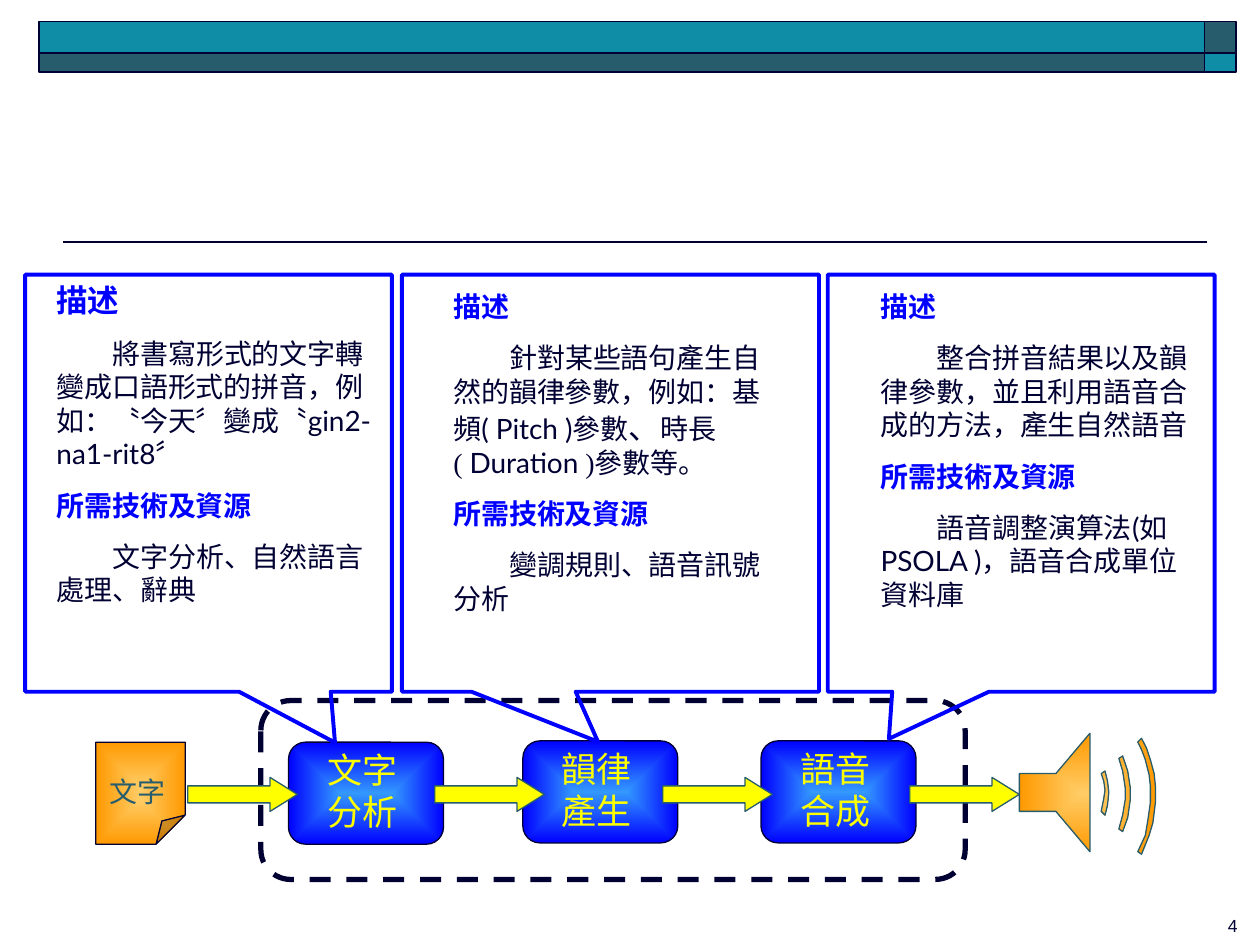
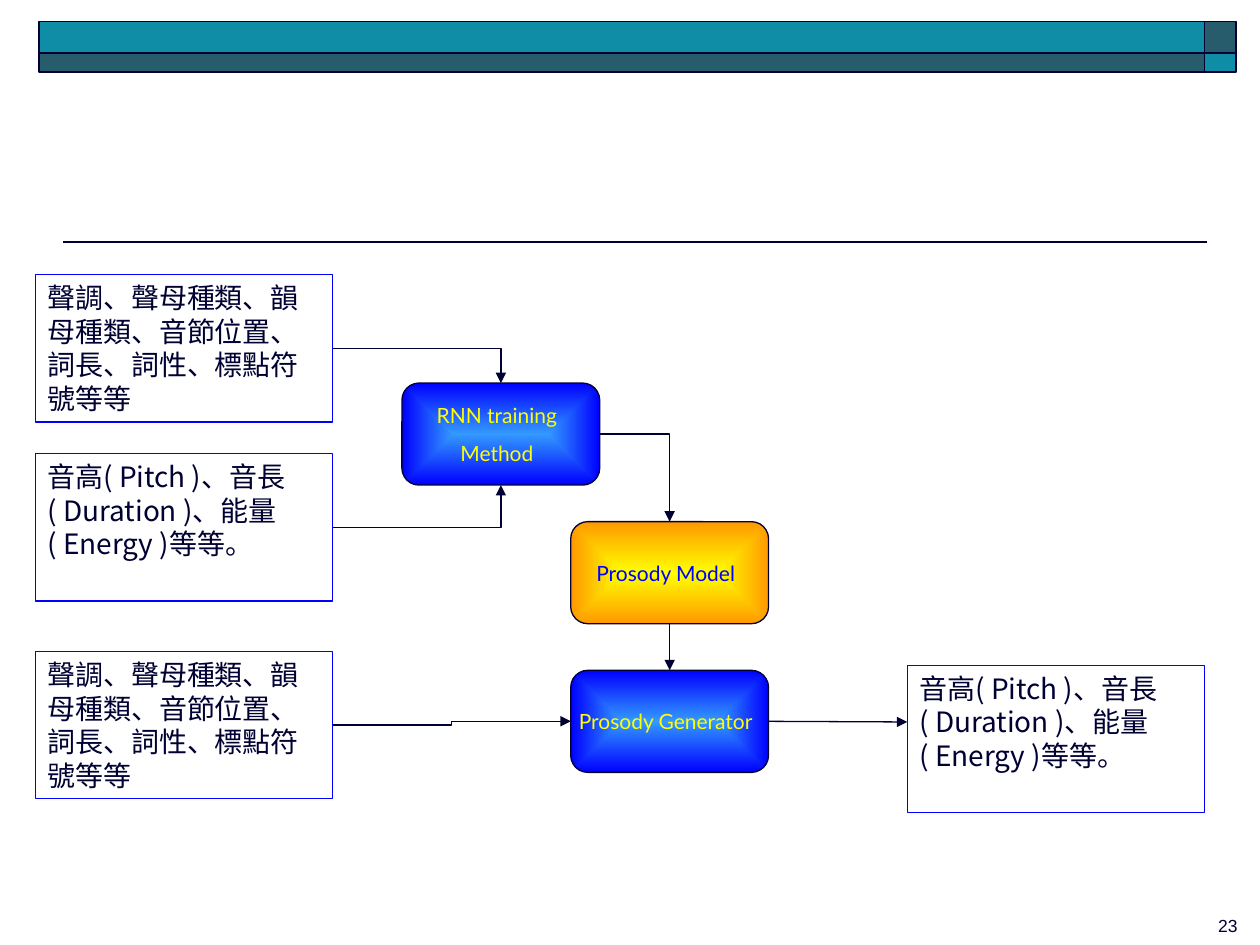
from lxml import etree
from pptx import Presentation
from pptx.dml.color import RGBColor
from pptx.enum.dml import MSO_LINE
from pptx.enum.shapes import MSO_CONNECTOR, MSO_SHAPE
from pptx.enum.text import MSO_ANCHOR, PP_ALIGN
from pptx.oxml.ns import qn
from pptx.util import Inches, Pt

COLORS = {
    "ink": "000033", "teal": "108DA6", "dark teal": "275C6D",
    "blue": "0000FF", "sky": "3399FF", "yellow": "FFFF00",
    "orange": "FF9900", "peach": "FFCC66",
}
BLUE_GLOW = ("sky", "blue")
ORANGE_GLOW = ("peach", "orange")
YELLOW_GLOW = ("yellow", "orange")
LATO, TIMES, CJK = "Lato", "Times New Roman", "Noto Sans CJK SC"
TOP, LEFT, BOTTOM, RIGHT = range(4)  # connection sites
LINE_BREAK = "\n"

# Bands at the top of every slide: left, top, width, height, colour
BANDS = [
    (9.56, 0.17, 0.25, 0.25, "dark teal"),
    (0.31, 0.17, 9.25, 0.25, "teal"),
    (0.31, 0.42, 9.25, 0.15, "dark teal"),
    (9.56, 0.42, 0.25, 0.15, "teal"),
]

# Slide 4: stages of speech synthesis, each with a callout.
# Body runs are (text, font) or (text, font, size).
DESCRIPTION, RESOURCES = "描述", "所需技術及資源"
STAGES = [
    {
        "name": "文字分析", "node": (2.29, 5.89),
        "callout": (0.2, 2.91), "pointer": (0.345, 0.622),
        "text": (0.35, 2.18, 2.76, 2.69), "heading": (LATO, 18),
        "description": [
            ("將書寫形式的文字轉變成口語形式的拼音，例如：〝今天〞變成", LATO),
            ("〝", TIMES), ("gin2-na1-rit8", LATO), ("〞", TIMES)],
        "resources": [("文字分析、自然語言處理", LATO), ("、辭典", TIMES)],
    },
    {
        "name": "韻律產生", "node": (4.15, 5.88),
        "callout": (3.19, 3.31), "pointer": (-0.03, 0.62),
        "text": (3.5, 2.25, 2.84, 2.69), "heading": (LATO, 16),
        "description": [
            ("針對某些語句產生自然的韻律參數，例如：基頻( Pitch )參數", LATO),
            ("、", TIMES, 18), ("時長", TIMES), (LINE_BREAK, TIMES),
            ("( ", TIMES), ("Duration", LATO), (" )參數等。", TIMES)],
        "resources": [("變調規則", LATO), ("、", TIMES), ("語音訊號分析", LATO)],
    },
    {
        "name": "語音合成", "node": (6.04, 5.88),
        "callout": (6.57, 3.07), "pointer": (-0.342, 0.613),
        "text": (6.89, 2.25, 2.68, 2.65), "heading": (TIMES, 16),
        "description": [
            ("整合拼音結果以及韻律參數，並且利用語音合成的方法，產生自然語音", CJK)],
        "resources": [("語音調整演算法(如 PSOLA )，語音合成單位資料庫", LATO)],
    },
]
FLOW_ARROW_LEFTS = [1.49, 3.45, 5.26, 7.22]

# Loudspeaker and its sound waves, in hundredths of an inch
SPEAKER_OUTLINES = [
    [(809, 614), (838, 614), (865, 582), (865, 676), (838, 644), (809, 644)],
    [(874, 614), (877, 612), (879, 620), (880, 629), (879, 639), (877, 647),
     (874, 644), (876, 634), (877, 627), (876, 620)],
    [(891, 600), (895, 612), (897, 625), (897, 635), (895, 649), (891, 660),
     (888, 658), (891, 647), (893, 635), (893, 625), (891, 612), (888, 602)],
    [(903, 589), (906, 586), (910, 594), (913, 603), (916, 614), (917, 624),
     (917, 637), (915, 653), (912, 663), (906, 678), (903, 676), (909, 663),
     (911, 651), (913, 637), (913, 624), (912, 615), (909, 603), (906, 595)],
]

# Slide 23: prosody model
FEATURES = ("聲調、聲母種類、韻母種類、音節位置、詞長、詞性、標點符號等等", TIMES)
PROSODY = ("音高( Pitch )、音長( Duration )、能量( Energy )等等。", CJK)
DATA_BOXES = {
    "training features": (0.28, 2.18, FEATURES),
    "training prosody": (0.28, 3.6, PROSODY),
    "new features": (0.28, 5.17, FEATURES),
    "predicted prosody": (7.2, 5.28, PROSODY),
}
PROCESS_BOXES = {
    "training": (3.19, 3.04, ["RNN training", "Method"], BLUE_GLOW, "yellow"),
    "model": (4.53, 4.14, ["Prosody Model"], YELLOW_GLOW, "blue"),
    "generator": (4.53, 5.32, ["Prosody Generator"], BLUE_GLOW, "yellow"),
}
# From, site, to, site, connector preset
LINKS = [
    ("training features", RIGHT, "training", TOP, "bentConnector2"),
    ("training prosody", RIGHT, "training", BOTTOM, "bentConnector2"),
    ("training", RIGHT, "model", TOP, "bentConnector2"),
    ("model", BOTTOM, "generator", TOP, "line"),
    ("new features", RIGHT, "generator", LEFT, "bentConnector3"),
]


def rgb(color):
    return RGBColor.from_string(COLORS[color])


def style_shape(shape, fill=None, line="ink", width=0.75):
    """Fill is a colour name, a (centre, edge) pair or None."""
    shape.shadow.inherit = False
    if fill is None:
        shape.fill.background()
    elif isinstance(fill, tuple):
        shape.fill.gradient()
        for stop, color in zip(shape.fill.gradient_stops, fill):
            stop.color.rgb = rgb(color)
        gradient = shape._element.spPr.find(qn("a:gradFill"))
        gradient.remove(gradient.find(qn("a:lin")))
        shade = etree.SubElement(gradient, qn("a:path"), {"path": "rect"})
        sides = {side: "50000" for side in "ltrb"}
        etree.SubElement(shade, qn("a:fillToRect"), sides)
    else:
        shape.fill.solid()
        shape.fill.fore_color.rgb = rgb(fill)
    shape.line.color.rgb = rgb(line)
    shape.line.width = Pt(width)


def add_shape(slide, kind, box, fill=None, line="ink", width=0.75, adjust=()):
    shape = slide.shapes.add_shape(kind, *map(Inches, box))
    for index, value in enumerate(adjust):
        shape.adjustments[index] = value
    style_shape(shape, fill, line, width)
    return shape


def add_connector(slide, start, end, width=0.75, arrow=True, preset="line"):
    """Start and end are (x, y) points or (shape, site) pairs."""
    kind = MSO_CONNECTOR.STRAIGHT if preset == "line" else MSO_CONNECTOR.ELBOW
    points = [(0, 0) if hasattr(place, "shape_type") else (Inches(place), Inches(y))
              for place, y in (start, end)]
    connector = slide.shapes.add_connector(kind, *points[0], *points[1])
    for (place, site), join in ((start, connector.begin_connect),
                                (end, connector.end_connect)):
        if hasattr(place, "shape_type"):
            join(place, site)
    connector.line.color.rgb = rgb("ink")
    connector.line.width = Pt(width)
    properties = connector._element.spPr
    properties.find(qn("a:prstGeom")).set("prst", preset)
    if arrow:
        etree.SubElement(properties.find(qn("a:ln")), qn("a:tailEnd"), type="triangle")
    etree.SubElement(properties, qn("a:effectLst"))


def set_frame(shape, insets=(0.1, 0.05, 0.1, 0.05), anchor=MSO_ANCHOR.TOP, wrap=True):
    frame = shape.text_frame
    (frame.margin_left, frame.margin_top,
     frame.margin_right, frame.margin_bottom) = map(Inches, insets)
    frame.vertical_anchor = anchor
    frame.word_wrap = wrap
    return frame


def add_paragraph(frame, runs, size, color, align=PP_ALIGN.LEFT,
                  before=0, bold=False, indent=0):
    """Use the empty first paragraph if there is one, else add a new one."""
    first = not frame.paragraphs[0].runs
    paragraph = frame.paragraphs[0] if first else frame.add_paragraph()
    paragraph.alignment = align
    if not first:
        paragraph.space_before = Pt(before)
    if indent:
        paragraph._p.get_or_add_pPr().set("indent", str(Pt(indent)))
    for text, font, *own_size in runs:
        if text == LINE_BREAK:
            paragraph.add_line_break()
            continue
        run = paragraph.add_run()
        run.text = text
        run.font.name = font
        run.font.size = Pt(own_size[0] if own_size else size)
        run.font.bold = bold
        run.font.color.rgb = rgb(color)
        etree.SubElement(run._r.rPr, qn("a:ea"), typeface=CJK)


def add_base_slide(presentation, number):
    slide = presentation.slides.add_slide(presentation.slide_layouts[6])
    add_connector(slide, (9.58, 1.92), (0.5, 1.92), width=1, arrow=False)
    for *box, color in BANDS:
        add_shape(slide, MSO_SHAPE.RECTANGLE, box, color, width=1)
    footer = slide.shapes.add_textbox(*map(Inches, (7.84, 7.21, 2.08, 0.2)))
    add_paragraph(set_frame(footer), [(number, "Arial")], 10, "ink", PP_ALIGN.RIGHT)
    return slide


def add_document(slide):
    document = add_shape(slide, MSO_SHAPE.FOLDED_CORNER, (0.76, 5.89, 0.71, 0.81),
                         ORANGE_GLOW)
    # python-pptx offers no adjustment for the size of the fold
    adjustments = document._element.spPr.find(qn("a:prstGeom")).get_or_add_avLst()
    etree.SubElement(adjustments, qn("a:gd"), name="adj", fmla="val 32500")
    frame = set_frame(document, (0, 0.26, 0.05, 0), wrap=False)
    add_paragraph(frame, [("文字", LATO)], 16, "dark teal", PP_ALIGN.CENTER)


def add_speaker(slide):
    outlines = iter(SPEAKER_OUTLINES)
    start, *points = next(outlines)
    builder = slide.shapes.build_freeform(*start, scale=Inches(0.01))
    builder.add_line_segments(points, close=True)
    for start, *points in outlines:
        builder.move_to(*start)
        builder.add_line_segments(points, close=True)
    style_shape(builder.convert_to_shape(), ORANGE_GLOW, "dark teal")


def add_callout(slide, stage):
    left, width = stage["callout"]
    add_shape(slide, MSO_SHAPE.RECTANGULAR_CALLOUT, (left, 2.18, width, 3.31),
              line="blue", width=2.25, adjust=stage["pointer"])
    frame = set_frame(slide.shapes.add_textbox(*map(Inches, stage["text"])))
    font, size = stage["heading"]
    for heading, heading_size, body in ((DESCRIPTION, size, stage["description"]),
                                        (RESOURCES, 16, stage["resources"])):
        add_paragraph(frame, [(heading, font)], heading_size, "blue", before=10, bold=True)
        add_paragraph(frame, body, 16, "ink", before=10, indent=32)


def build_synthesis_slide(presentation):
    slide = add_base_slide(presentation, "4")
    for stage in STAGES:
        node = add_shape(slide, MSO_SHAPE.ROUNDED_RECTANGLE, (*stage["node"], 1.23, 0.81),
                         BLUE_GLOW, adjust=[0.167])
        frame = set_frame(node, (0.27, 0.01, 0.27, 0))
        add_paragraph(frame, [(stage["name"], TIMES)], 20, "yellow")
    add_document(slide)
    add_speaker(slide)
    system = add_shape(slide, MSO_SHAPE.ROUNDED_RECTANGLE, (2.07, 5.56, 5.59, 1.42),
                       width=3, adjust=[0.167])
    system.line.dash_style = MSO_LINE.DASH
    for left in FLOW_ARROW_LEFTS:
        add_shape(slide, MSO_SHAPE.RIGHT_ARROW, (left, 6.17, 0.87, 0.27),
                  "yellow", "dark teal", adjust=[0.5, 0.803])
    for stage in STAGES:
        add_callout(slide, stage)


def build_prosody_slide(presentation):
    slide = add_base_slide(presentation, "23")
    boxes = {}
    for name, (left, top, run) in DATA_BOXES.items():
        boxes[name] = add_shape(slide, MSO_SHAPE.RECTANGLE, (left, top, 2.36, 1.17),
                                line="blue")
        add_paragraph(set_frame(boxes[name]), [run], 16, "ink")
    for name, (left, top, lines, fill, color) in PROCESS_BOXES.items():
        boxes[name] = add_shape(slide, MSO_SHAPE.ROUNDED_RECTANGLE, (left, top, 1.57, 0.81),
                                fill, adjust=[0.167])
        frame = set_frame(boxes[name], (0.1, 0.05, 0.16, 0.05), MSO_ANCHOR.MIDDLE, wrap=False)
        for line in lines:
            add_paragraph(frame, [(line, LATO)], 12, color, PP_ALIGN.CENTER, before=7.5)
    for source, source_site, target, target_site, preset in LINKS:
        add_connector(slide, (boxes[source], source_site),
                      (boxes[target], target_site), preset=preset)
    add_connector(slide, (boxes["generator"], RIGHT), (7.2, 5.73))


def main():
    presentation = Presentation()
    presentation.slide_width, presentation.slide_height = Inches(10), Inches(7.5)
    build_synthesis_slide(presentation)
    build_prosody_slide(presentation)
    presentation.save("out.pptx")


if __name__ == "__main__":
    main()
